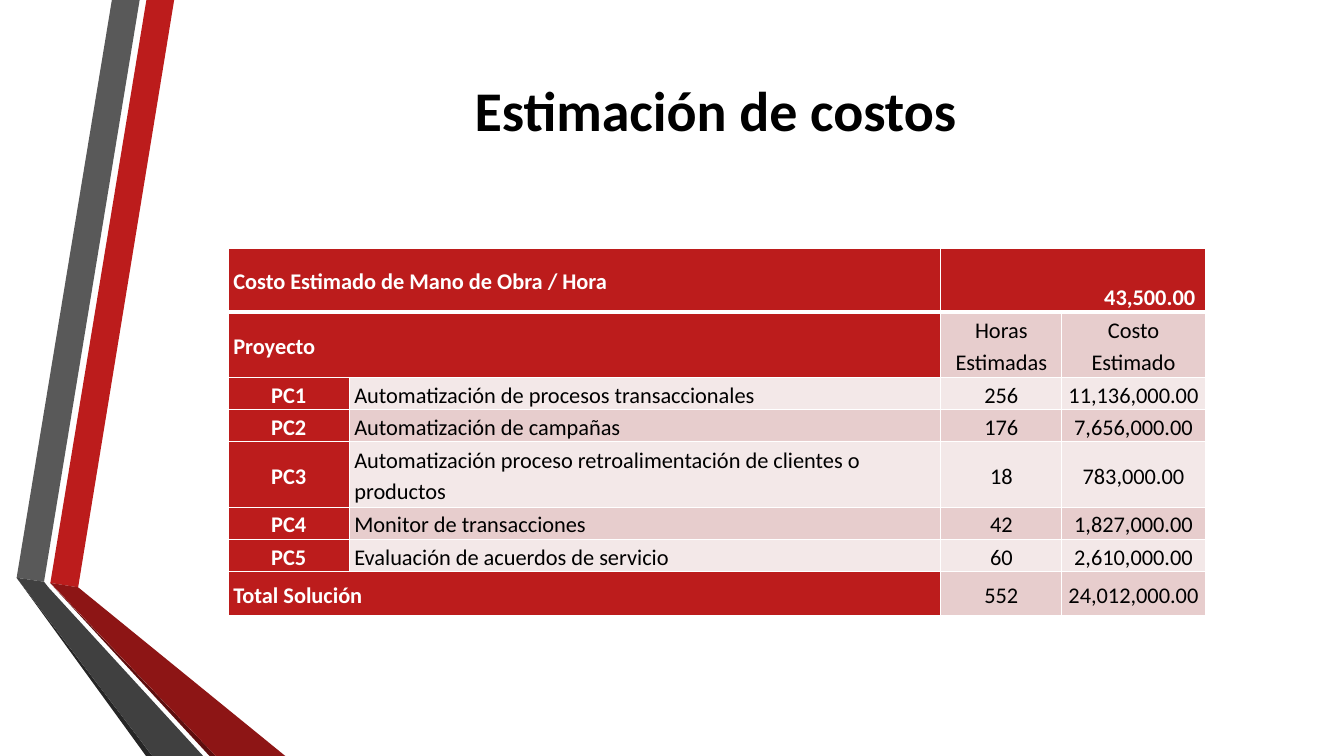
from dataclasses import dataclass

from lxml.etree import SubElement
from pptx import Presentation
from pptx.dml.color import RGBColor as RGB
from pptx.enum.text import MSO_ANCHOR as Anchor, PP_ALIGN as Align
from pptx.oxml.ns import qn
from pptx.util import Cm, Pt


@dataclass(frozen=True)
class Theme:
    font: str = "Calibri"
    title_size: int = 40
    table_size: int = 16
    white: str = "FFFFFF"
    black: str = "000000"
    red: str = "BC1C1C"
    red_dark: str = "8D1515"
    red_edge: str = "5E0E0E"
    gray: str = "595959"
    gray_dark: str = "404040"
    gray_edge: str = "262626"
    band_dark: str = "E7CDCD"
    band_light: str = "F3E8E8"


theme = Theme()


def write(frame, text, size, color, bold, align):
    frame.text = text
    paragraph = frame.paragraphs[0]
    paragraph.alignment = align
    for run in paragraph.runs:
        run.font.name = theme.font
        run.font.size = Pt(size)
        run.font.bold = bold
        run.font.color.rgb = RGB.from_string(color)
    return paragraph


def add_border(cell, side, points):
    line = SubElement(cell._tc.get_or_add_tcPr(), qn(f"a:ln{side}"), w=str(Pt(points)))
    fill = SubElement(line, qn("a:solidFill"))
    SubElement(fill, qn("a:srgbClr"), val=theme.white)


prs = Presentation()
prs.slide_width = Cm(33.87)
prs.slide_height = Cm(19.05)
slide = prs.slides.add_slide(prs.slide_layouts[6])

ribbons = [
    (theme.red, [(1.27, 14.69), (1.97, 14.8), (4.39, 0), (3.69, 0)]),
    (theme.gray, [(3.52, 0), (2.82, 0), (0.42, 14.56), (1.11, 14.66)]),
    (theme.gray_edge, [(0.42, 14.56), (3.68, 19.05), (3.84, 19.05)]),
    (theme.red_edge, [(1.27, 14.7), (5.28, 19.05), (5.44, 19.05)]),
    (theme.red_dark, [(1.27, 14.69), (5.44, 19.05), (7.19, 19.05), (1.97, 14.8)]),
    (theme.gray_dark, [(5.12, 19.05), (1.22, 14.8), (1.11, 14.66), (0.42, 14.56), (3.84, 19.05)]),
]
for color, corners in ribbons:
    points = [(Cm(x), Cm(y)) for x, y in corners]
    outline = slide.shapes.build_freeform(*points[0])
    outline.add_line_segments(points[1:], close=True)
    ribbon = outline.convert_to_shape()
    ribbon.shadow.inherit = False
    ribbon.fill.solid()
    ribbon.fill.fore_color.rgb = RGB.from_string(color)
    ribbon.line.fill.background()

heading = slide.shapes.add_textbox(Cm(4.11), Cm(0.2), Cm(27.84), Cm(5.08)).text_frame
heading.word_wrap = True
heading.vertical_anchor = Anchor.MIDDLE
write(heading, "Estimación de costos", theme.title_size, theme.black, True, Align.CENTER)

cost_rows = [
    ("Costo Estimado de Mano de Obra / Hora", "", "43,500.00", ""),
    ("Proyecto", "", "Horas Estimadas", "Costo Estimado"),
    ("PC1", "Automatización de procesos transaccionales", "256", "11,136,000.00"),
    ("PC2", "Automatización de campañas", "176", "7,656,000.00"),
    ("PC3", "Automatización proceso retroalimentación de clientes o productos", "18", "783,000.00"),
    ("PC4", "Monitor de transacciones", "42", "1,827,000.00"),
    ("PC5", "Evaluación de acuerdos de servicio", "60", "2,610,000.00"),
    ("Total Solución", "", "552", "24,012,000.00"),
]
column_widths = [3.05, 14.91, 3.05, 3.61]
row_heights = [1.6, 1.65, 0.81, 0.81, 1.65, 0.81, 0.81, 1.12]
costs = slide.shapes.add_table(
    len(cost_rows), len(column_widths), Cm(5.75), Cm(6.26),
    Cm(sum(column_widths)), Cm(sum(row_heights)),
).table
for column, width in zip(costs.columns, column_widths):
    column.width = Cm(width)
for row, height in zip(costs.rows, row_heights):
    row.height = Cm(height)

for r, texts in enumerate(cost_rows):
    for c, text in enumerate(texts):
        cell = costs.cell(r, c)
        is_header = r == 0 or c == 0 or (c == 1 and not text)
        is_rate = r == 0 and c == 2
        if is_rate:
            align = Align.RIGHT
        elif c >= 2 or text.startswith("PC"):
            align = Align.CENTER
        else:
            align = Align.LEFT
        cell.margin_left = Cm(0.13)
        cell.margin_right = Cm(0.25 if is_rate else 0.13)
        cell.margin_top = cell.margin_bottom = 0
        cell.vertical_anchor = Anchor.BOTTOM if is_rate else Anchor.MIDDLE
        paragraph = write(cell.text_frame, text, theme.table_size,
                          theme.white if is_header else theme.black, is_header, align)
        paragraph.line_spacing = 1.15
        for side in "LRTB":
            add_border(cell, side, 3 if (r, side) in [(0, "B"), (1, "T")] else 1)
        band = theme.band_dark if r % 2 else theme.band_light
        cell.fill.solid()
        cell.fill.fore_color.rgb = RGB.from_string(theme.red if is_header else band)

for r, c in [(0, 0), (0, 2), (1, 0), (7, 0)]:
    costs.cell(r, c).merge(costs.cell(r, c + 1))

prs.save("out.pptx")
